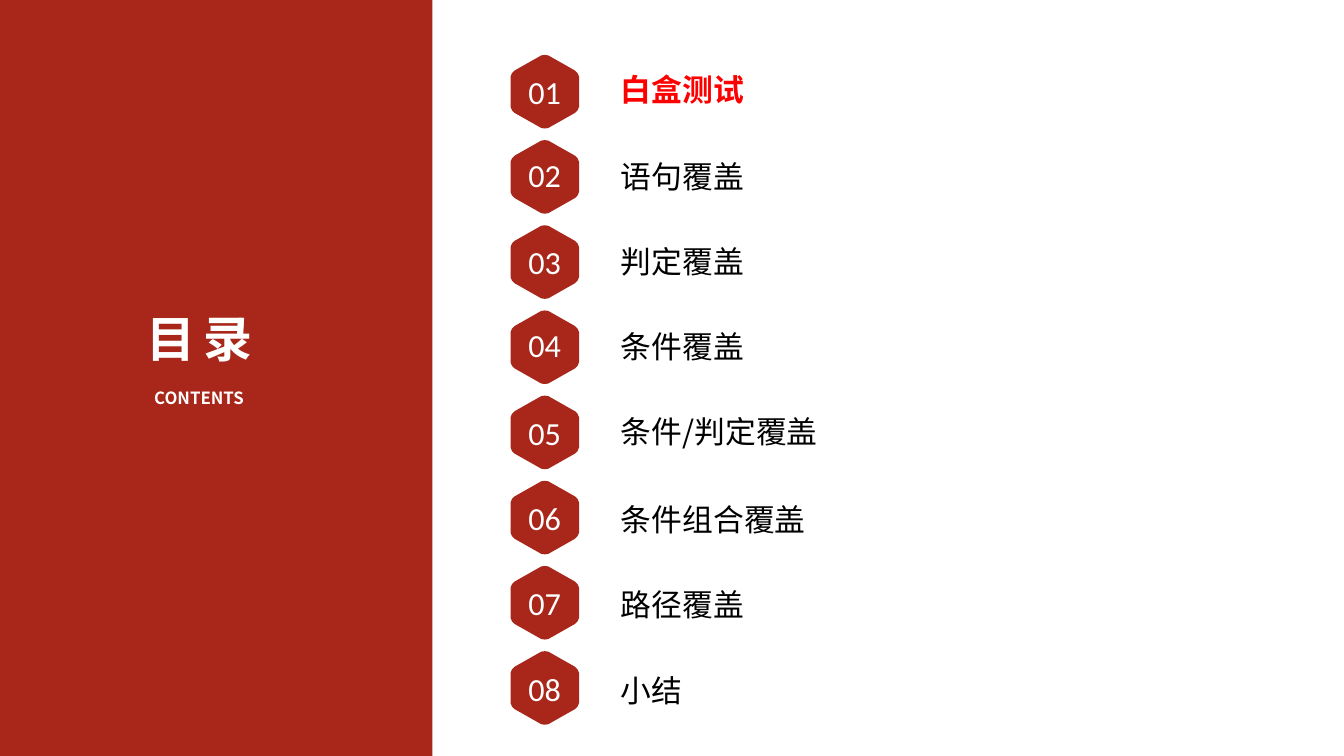
"""Build the contents slide of a course on white-box testing."""
from lxml.etree import SubElement
from pptx import Presentation
from pptx.dml.color import RGBColor
from pptx.enum.shapes import MSO_SHAPE as Shape
from pptx.enum.text import MSO_ANCHOR as Anchor, MSO_AUTO_SIZE as AutoSize, PP_ALIGN as Align
from pptx.oxml.ns import qn
from pptx.util import Inches, Pt

BRICK = RGBColor(0xA8, 0x27, 0x1A)
RED = RGBColor(0xFF, 0, 0)
WHITE = RGBColor(0xFF, 0xFF, 0xFF)
BLACK = RGBColor(0, 0, 0)
HEADING_FONT = "Noto Sans CJK SC"
NUMBER_FONT = "Calibri"

FIRST_CENTER = 1.82
ROW_STEP = 1.69
BADGE_CENTER = 10.81
QUARTER = [(0.73, 0), (0.72, 0.07), (0.42, 0.6), (0.37, 0.65), (0.3, 0.68)]

TOPICS = [
    ("白盒测试", 1.35, 1.29),
    ("语句覆盖", 3.07, 2.94),
    ("判定覆盖", 4.76, 4.67),
    ("条件覆盖", 6.46, 6.32),
    ("条件/判定覆盖", 8.14, 8.06),
    ("条件组合覆盖", 9.88, 9.75),
    ("路径覆盖", 11.58, 11.44),
    ("小结", 13.27, 13.13),
]


class ContentsPage:
    """Holds the style and the slide being drawn."""

    def __init__(self, page):
        self.page = page
        self.shapes = page.shapes

    def paint(self, shape, color):
        """Give a shape a plain fill without outline or shadow."""
        shape.fill.solid()
        shape.fill.fore_color.rgb = color
        shape.line.fill.background()
        shape.shadow.inherit = False

    def panel(self, left, top, width, height):
        """Draw a filled rectangle."""
        box = self.shapes.add_shape(
            Shape.RECTANGLE, Inches(left), Inches(top), Inches(width), Inches(height))
        self.paint(box, BRICK)

    def badge(self, x, y):
        """Draw a hexagon with softened corners, turned to stand on a point."""
        half = QUARTER + [(-u, v) for u, v in reversed(QUARTER)]
        outline = half + [(-u, -v) for u, v in half]
        points = [(Inches(x + u), Inches(y + v)) for u, v in outline]
        builder = self.shapes.build_freeform(*points[0])
        builder.add_line_segments(points[1:])
        hexagon = builder.convert_to_shape()
        hexagon.rotation = 90
        self.paint(hexagon, BRICK)

    def fill_text(self, box, text, size, color, font=HEADING_FONT, bold=False,
                  align=Align.LEFT, anchor=Anchor.TOP, spacing=0):
        """Fill a box with one styled paragraph."""
        frame = box.text_frame
        frame.word_wrap = True
        frame.auto_size = AutoSize.NONE
        frame.vertical_anchor = anchor
        frame.margin_left = frame.margin_right = Inches(0.05)
        frame.margin_top = frame.margin_bottom = Inches(0.05)
        para = frame.paragraphs[0]
        para.text = text
        para.alignment = align
        para.font.size = Pt(size)
        para.font.bold = bold
        para.font.color.rgb = color
        para.font.name = font
        style = para._p.pPr.find(qn("a:defRPr"))
        SubElement(style, qn("a:ea")).set("typeface", font)
        if spacing:
            style.set("spc", str(round(spacing * 100)))

    def text(self, text, left, top, width, height, size, color, **style):
        """Add a text box."""
        box = self.shapes.add_textbox(
            Inches(left), Inches(top), Inches(width), Inches(height))
        self.fill_text(box, text, size, color, **style)

    def title(self, text, left, top, width, height, size, color, **style):
        """Place the title in front of what is drawn so far."""
        box = self.shapes.title
        box.left, box.top = Inches(left), Inches(top)
        box.width, box.height = Inches(width), Inches(height)
        self.fill_text(box, text, size, color, **style)
        self.shapes._spTree.append(box._element)

    def topic(self, index, label, label_top, number_top):
        """Add one numbered row; the first one is the current topic."""
        current = index == 0
        self.badge(BADGE_CENTER, FIRST_CENTER + index * ROW_STEP)
        self.text(f"{index + 1:02}", 9.94, number_top, 1.74, 1.05, 46, WHITE,
                  font=NUMBER_FONT, align=Align.CENTER, anchor=Anchor.MIDDLE)
        self.text(label, 12.27, label_top, 6.11, 0.78, 44,
                  RED if current else BLACK, bold=current)


def main():
    """Build and save the deck."""
    deck = Presentation()
    deck.slide_width, deck.slide_height = Inches(26.67), Inches(15)
    contents = ContentsPage(deck.slides.add_slide(deck.slide_layouts[5]))
    contents.panel(0, 0, 8.58, 15)
    contents.text("CONTENTS", 1.87, 7.64, 4.16, 0.99, 24, WHITE,
                  bold=True, align=Align.CENTER)
    contents.title("目录", 1.12, 6.08, 5.68, 2.85, 70, WHITE,
                   bold=True, align=Align.CENTER, spacing=11.7)
    for index, topic in enumerate(TOPICS):
        contents.topic(index, *topic)
    deck.save("out.pptx")


if __name__ == "__main__":
    main()
